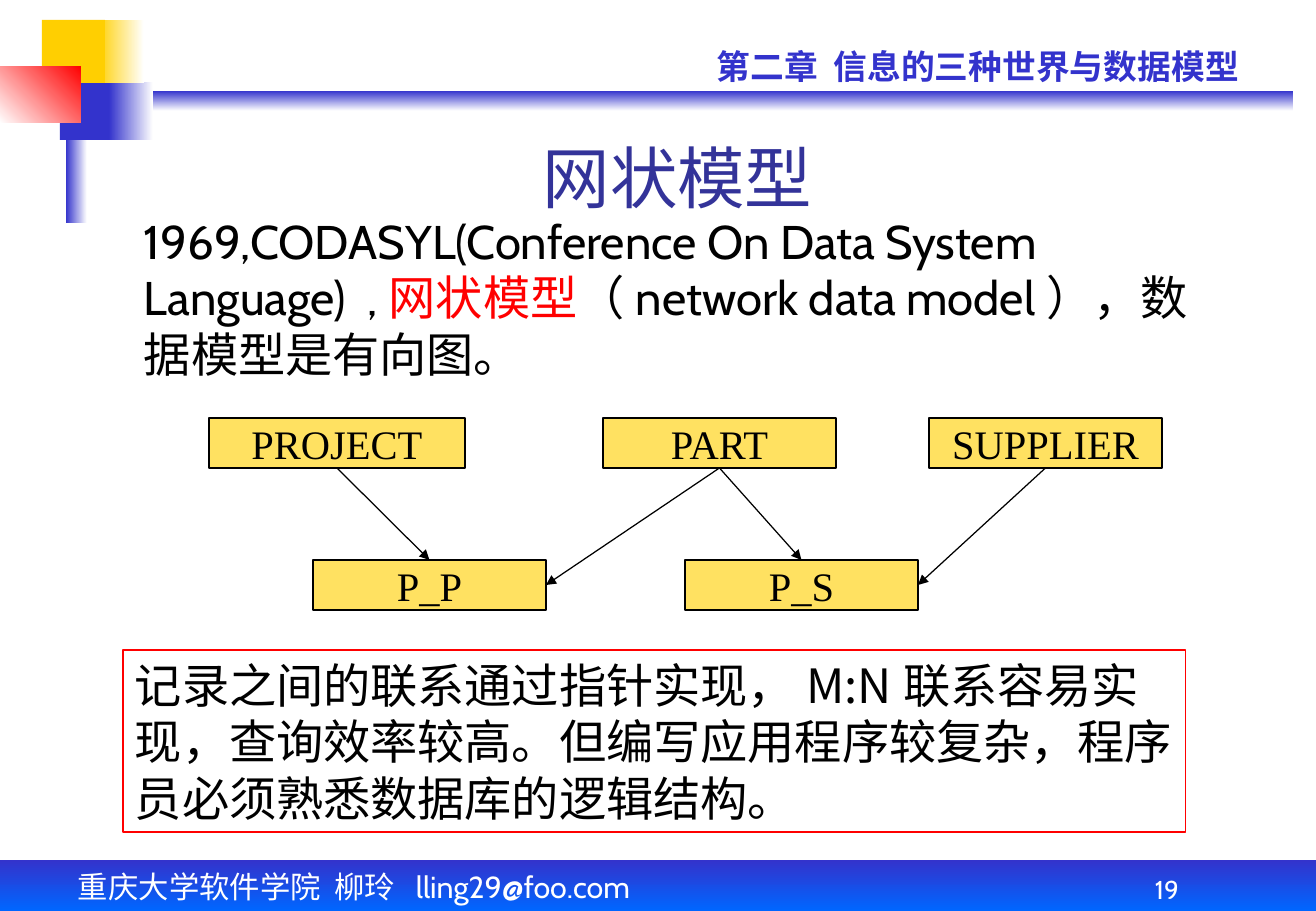
from lxml import etree
from pptx import Presentation
from pptx import util as u
from pptx.dml.color import RGBColor
from pptx.enum import shapes, text
from pptx.oxml.ns import qn

EMU_PER_PX = 7532
SLIDE = (1316, 911)
BLUE, YELLOW, WHITE, RED, BLACK = "3333CC", "FFCF01", "FFFFFF", "FF0000", "000000"
CABIN, SERIF, CJK = "Cabin", "Times New Roman", "Noto Sans CJK SC"

DECOR = [
    ((76, 91, 1217, 20), (BLUE, WHITE), 90),
    ((109, 82, 44, 58), (BLUE, WHITE), 0),
    ((0, 860, 1316, 51), (BLUE, "0066FF"), 90),
    ((66, 70, 21, 153), (BLUE, WHITE), 0),
    ((60, 82, 49, 58), (BLUE,), 0),
    ((97, 20, 47, 63), (YELLOW, WHITE), 0),
    ((42, 20, 63, 63), (YELLOW,), 0),
    ((0, 66, 81, 57), (WHITE, RED), 315),
]

TITLE = ((164, 142, 1042, 81), [("网状模型 ", "333399")],
         {"size": 40, "name": CABIN}, {"vertical_anchor": text.MSO_ANCHOR.BOTTOM},
         text.PP_ALIGN.CENTER)
TEXTS = [
    ((66, 862, 734, 49), [("重庆大学软件学院  柳玲  lling29@foo.com", WHITE)],
     {"size": 18, "name": CABIN}, {}, text.PP_ALIGN.LEFT),
    ((705, 40, 588, 53), [("第二章  信息的三种世界与数据模型", BLUE)],
     {"size": 20, "name": CABIN, "bold": True}, {}, text.PP_ALIGN.LEFT),
    ((1063, 860, 208, 51), [("19", WHITE)],
     {"size": 15.3, "name": CABIN}, {"vertical_anchor": text.MSO_ANCHOR.BOTTOM},
     text.PP_ALIGN.CENTER),
    ((132, 206, 1070, 182),
     [("1969,CODASYL(Conference On Data System Language)  ,", BLACK),
      ("网状模型", RED),
      ("（network data model），数据模型是有向图。", BLACK)],
     {"size": 28, "name": CABIN}, {}, text.PP_ALIGN.LEFT),
]
SUMMARY = ((123, 650, 1063, 182),
           [("记录之间的联系通过指针实现，M:N联系容易实现，查询效率较高。"
             "但编写应用程序较复杂，程序员必须熟悉数据库的逻辑结构。", BLACK)],
           {"size": 28, "name": CJK}, {"vertical_anchor": text.MSO_ANCHOR.TOP},
           text.PP_ALIGN.LEFT)

RECORD_HEIGHT = 50
RECORD_ROWS = [
    (418, [("PROJECT", 209, 256), ("PART", 603, 233), ("SUPPLIER", 929, 233)]),
    (560, [("P_P", 313, 233), ("P_S", 685, 233)]),
]
TOP, BOTTOM, RIGHT = 0, 2, 3
LINKS = [("PROJECT", "P_P", TOP), ("PART", "P_P", RIGHT),
         ("SUPPLIER", "P_S", RIGHT), ("PART", "P_S", TOP)]


def px(*values):
    return [u.Emu(v * EMU_PER_PX) for v in values]


def rgb(value):
    return RGBColor.from_string(value)


def write(sp, runs, font, frame, align):
    tf = sp.text_frame
    margins = dict(margin_left=u.Inches(0.1), margin_right=u.Inches(0.1),
                   margin_top=u.Inches(0.05), margin_bottom=u.Inches(0.05))
    settings = {"word_wrap": True, "auto_size": text.MSO_AUTO_SIZE.NONE, **margins, **frame}
    for key, value in settings.items():
        setattr(tf, key, value)
    p = tf.paragraphs[0]
    p.alignment = align
    for words, color in runs:
        r = p.add_run()
        r.text = words
        for key, value in {**font, "size": u.Pt(font["size"])}.items():
            setattr(r.font, key, value)
        r.font.color.rgb = rgb(color)
        etree.SubElement(r.font._element, qn("a:ea"), typeface=CJK)


def add_rect(s, box, colors=(), angle=0, line=None):
    sp = s.shapes.add_shape(shapes.MSO_SHAPE.RECTANGLE, *px(*box))
    sp.shadow.inherit = False
    if len(colors) == 2:
        sp.fill.gradient()
        sp.fill.gradient_angle = -angle % 360
        for stop, color in zip(sp.fill.gradient_stops, colors):
            stop.color.rgb = rgb(color)
    elif colors:
        sp.fill.solid()
        sp.fill.fore_color.rgb = rgb(colors[0])
    else:
        sp.fill.background()
    if line:
        sp.line.color.rgb = rgb(line)
        sp.line.width = u.Pt(0.75)
    else:
        sp.line.fill.background()
    return sp


def add_arrow(s, start, end, side):
    c = s.shapes.add_connector(shapes.MSO_CONNECTOR.STRAIGHT, 0, 0, 0, 0)
    c.begin_connect(start, BOTTOM)
    c.end_connect(end, side)
    c.line.color.rgb = rgb(BLACK)
    c.line.width = u.Pt(0.75)
    etree.SubElement(c.line._get_or_add_ln(), qn("a:tailEnd"), type="triangle")
    etree.SubElement(c._element.spPr, qn("a:effectLst"))


def main():
    prs = Presentation()
    prs.slide_width, prs.slide_height = px(*SLIDE)
    s = prs.slides.add_slide(prs.slide_layouts[5])

    for box, colors, angle in DECOR:
        add_rect(s, box, colors, angle)

    title = s.shapes.title
    title.left, title.top, title.width, title.height = px(*TITLE[0])
    write(title, *TITLE[1:])

    for box, *content in TEXTS:
        write(s.shapes.add_textbox(*px(*box)), *content)

    records = {}
    for top, row in RECORD_ROWS:
        for name, left, width in row:
            sp = add_rect(s, (left, top, width, RECORD_HEIGHT), ("FFE161",), line=BLACK)
            write(sp, [(name, BLACK)], {"size": 24, "name": SERIF},
                  {"word_wrap": False, "vertical_anchor": text.MSO_ANCHOR.MIDDLE},
                  text.PP_ALIGN.CENTER)
            records[name] = sp
    for start, end, side in LINKS:
        add_arrow(s, records[start], records[end], side)

    write(add_rect(s, SUMMARY[0], line=RED), *SUMMARY[1:])
    prs.save("out.pptx")


if __name__ == "__main__":
    main()
